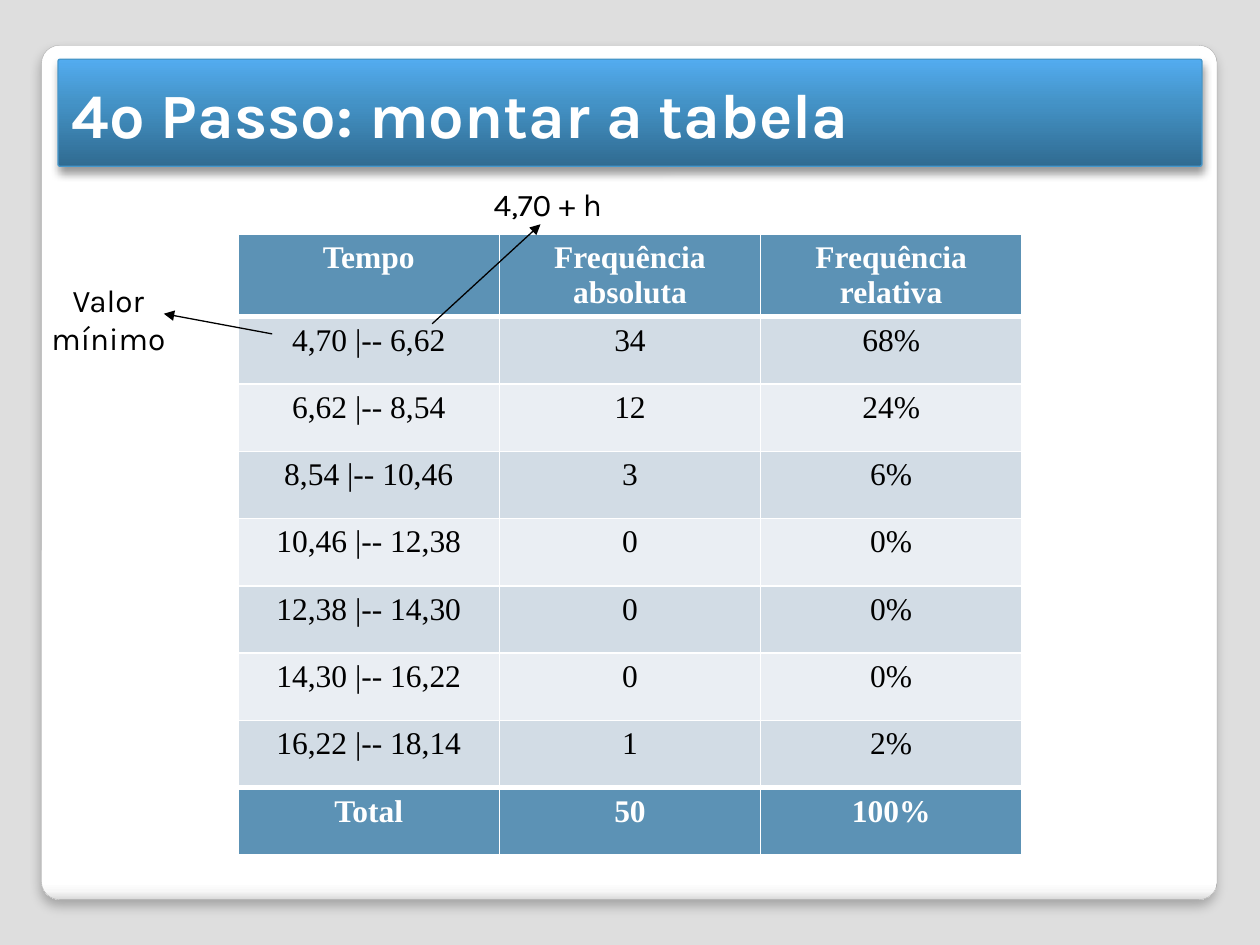
from lxml import etree
from pptx import Presentation
from pptx import util as u
from pptx.dml.color import RGBColor
from pptx.enum import shapes, text
from pptx.oxml import ns

GREY = RGBColor(0xDE, 0xDE, 0xDE)
EDGE = RGBColor(0xA4, 0xA4, 0xA4)
BANNER_EDGE = RGBColor(0x46, 0x97, 0xCB)
STEEL = RGBColor(0x5C, 0x92, 0xB5)
BAND_DARK = RGBColor(0xD2, 0xDC, 0xE5)
BAND_LIGHT = RGBColor(0xEA, 0xEE, 0xF3)
WHITE = RGBColor(0xFF, 0xFF, 0xFF)
BLACK = RGBColor(0, 0, 0)
PANEL_STOPS = [(0, WHITE), (98, WHITE), (99, RGBColor(0xF7, 0xF7, 0xF7)),
               (100, RGBColor(0xDA, 0xDA, 0xDA))]
BANNER_STOPS = [(0, RGBColor(0x30, 0x6B, 0x91)), (60, RGBColor(0x44, 0x93, 0xC7)),
                (100, RGBColor(0x53, 0xAC, 0xF0))]

COLUMNS, ROWS = 100, 75
CENTER = text.PP_ALIGN.CENTER
LEFT = text.PP_ALIGN.LEFT


def add(parent, tag, **attributes):
    """Append a drawing element and return it."""
    values = {name: str(value) for name, value in attributes.items()}
    return etree.SubElement(parent, ns.qn("a:" + tag), values)


class Slide:
    """Draws styled elements on one slide laid out as a 100 by 75 grid."""

    def __init__(self, deck):
        self.width, self.height = deck.slide_width, deck.slide_height
        self.page = deck.slides.add_slide(deck.slide_layouts[5])
        self.page.background.fill.solid()
        self.page.background.fill.fore_color.rgb = GREY

    def grid(self, *lengths):
        steps = (self.width / COLUMNS, self.height / ROWS)
        return [u.Emu(int(length * steps[i % 2])) for i, length in enumerate(lengths)]

    def style(self, para, font, size, color, bold=False, align=CENTER):
        para.alignment = align
        para.font.name, para.font.size = font, u.Pt(size)
        para.font.color.rgb, para.font.bold = color, bold

    def card(self, place, stops, angle, edge, edge_width, alpha, blur, distance):
        box = self.page.shapes.add_shape(
            shapes.MSO_SHAPE.ROUNDED_RECTANGLE, *self.grid(*place))
        box.adjustments[0] = 0.021
        box.fill.gradient()
        box.fill.gradient_angle = angle
        stop_list = box._element.spPr.find(".//" + ns.qn("a:gsLst"))
        for stop in list(stop_list):
            stop_list.remove(stop)
        for position, color in stops:
            add(add(stop_list, "gs", pos=position * 1000), "srgbClr", val=color)
        box.line.color.rgb, box.line.width = edge, u.Pt(edge_width)
        box.shadow.inherit = False
        effects = box._element.spPr.find(ns.qn("a:effectLst"))
        shadow = add(effects, "outerShdw", blurRad=u.Pt(blur), dist=u.Pt(distance),
                     dir=5400000, rotWithShape=0)
        add(add(shadow, "srgbClr", val=BLACK), "alpha", val=alpha * 1000)

    def title(self, place, words):
        box = self.page.shapes.title
        box.left, box.top, box.width, box.height = self.grid(*place)
        self.page.shapes._spTree.append(box._element)
        box.text_frame.text = words
        box.text_frame.vertical_anchor = text.MSO_ANCHOR.MIDDLE
        self.style(box.text_frame.paragraphs[0], "Karla", 36, WHITE, True, LEFT)

    def label(self, place, words, align):
        box = self.page.shapes.add_textbox(*self.grid(*place))
        box.text_frame.word_wrap = True
        box.text_frame.text = words
        self.style(box.text_frame.paragraphs[0], "Karla", 18, BLACK, align=align)

    def arrow(self, *ends):
        line = self.page.shapes.add_connector(
            shapes.MSO_CONNECTOR.STRAIGHT, *self.grid(*ends))
        line.line.color.rgb, line.line.width = BLACK, u.Pt(0.75)
        add(line.line._get_or_add_ln(), "tailEnd", type="triangle")
        add(line._element.spPr, "effectLst")

    def borders(self, cell, top, bottom):
        properties = cell._tc.get_or_add_tcPr()
        sides = (("lnL", 1), ("lnR", 1), ("lnT", top), ("lnB", bottom))
        for i, (side, points) in enumerate(sides):
            line = add(properties, side, w=u.Pt(points))
            add(add(line, "solidFill"), "srgbClr", val=WHITE)
            properties.insert(i, line)

    def table(self, place, records, head_height, row_height):
        last = len(records) - 1
        table = self.page.shapes.add_table(
            len(records), len(records[0]), *self.grid(*place)).table
        for i, record in enumerate(records):
            strong = i in (0, last)
            band = STEEL if strong else BAND_DARK if i % 2 else BAND_LIGHT
            height = row_height if i else head_height
            table.rows[i].height = self.grid(0, height)[1]
            for j, words in enumerate(record):
                cell = table.cell(i, j)
                cell.text = words
                cell.fill.solid()
                cell.fill.fore_color.rgb = band
                self.style(cell.text_frame.paragraphs[0], "Times New Roman", 18,
                           WHITE if strong else BLACK, strong)
                self.borders(cell, 3 if i in (1, last) else 1,
                             3 if i in (0, last - 1) else 1)


deck = Presentation()
deck.slide_width, deck.slide_height = u.Inches(10), u.Inches(7.5)
slide = Slide(deck)

slide.card((3.3, 3.6, 93.3, 67.8), PANEL_STOPS, 270, EDGE, 0.16, 25, 6, 4)
slide.card((4.6, 4.7, 90.8, 8.5), BANNER_STOPS, 90, BANNER_EDGE, 0.75, 40, 5.2, 3)
slide.title((4.7, 4.7, 90.6, 8.6), "4º Passo: montar a tabela")

limits = ["4,70", "6,62", "8,54", "10,46", "12,38", "14,30", "16,22", "18,14"]
counts = [34, 12, 3, 0, 0, 0, 1]
total = sum(counts)
records = [("Tempo", "Frequência absoluta", "Frequência relativa")]
for low, high, count in zip(limits, limits[1:], counts):
    records.append((f"{low} |-- {high}", str(count), f"{count / total:.0%}"))
records.append(("Total", str(total), "100%"))
slide.table((18.9, 18.6, 62.2, 49.1), records, 6.4, 5.34)

slide.arrow(21.6, 26.5, 13, 24.9)
slide.label((2.7, 21.8, 11.8, 7.1), "Valor mínimo", CENTER)
slide.arrow(34.3, 25.7, 42.9, 17.8)
slide.label((38.2, 14.2, 18.9, 4), "4,70 + h", LEFT)

deck.save("out.pptx")
